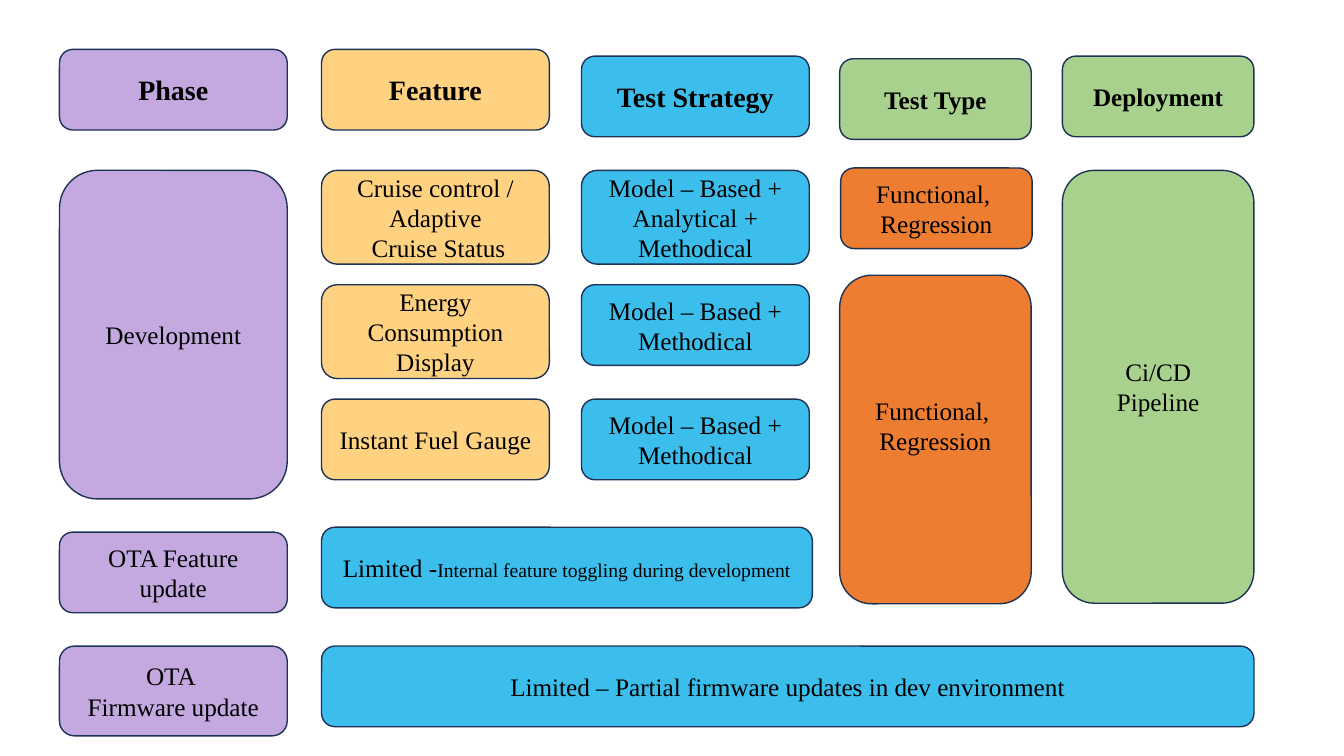
"""Build a slide that maps test phases to features, strategies and deployment."""
from dataclasses import dataclass

import pptx
import pptx.dml.color
import pptx.enum.shapes
import pptx.enum.text
import pptx.slide
import pptx.util

Pt = pptx.util.Pt
RGBColor = pptx.dml.color.RGBColor

PURPLE = RGBColor(0xC3, 0xA9, 0xDF)
YELLOW = RGBColor(0xFF, 0xD2, 0x81)
BLUE = RGBColor(0x3C, 0xBE, 0xEC)
GREEN = RGBColor(0xA9, 0xD1, 0x8E)
ORANGE = RGBColor(0xED, 0x7D, 0x31)
NAVY = RGBColor(0x1E, 0x32, 0x56)
BLACK = RGBColor(0, 0, 0)

FONT = "Times New Roman"
PHASE, FEATURE, STRATEGY, TEST, DEPLOY = 42.5, 229.7, 415.4, 599.8, 758.9
WIDE, SLIM = 162.7, 136.8
LOW, MID, TALL = 57.6, 67, 234.7
ROWS = [121.7 + 81.7 * step for step in range(3)]
LAST = 461.5
END = DEPLOY + SLIM


@dataclass(frozen=True)
class Box:
    """A rounded box with its text, in points."""

    lines: tuple[str, ...]
    left: float
    top: float
    width: float
    height: float
    fill: RGBColor
    size: float = 18
    bold: bool = False
    detail: str = ""
    lift: float = 0


BOXES = [
    Box(("Phase",), PHASE, 35.3, WIDE, LOW, PURPLE, 20, True),
    Box(("Feature",), FEATURE, 35.3, WIDE, LOW, YELLOW, 20, True),
    Box(("Test Strategy",), STRATEGY, 40.1, WIDE, LOW, BLUE, 20, True),
    Box(("Test Type",), TEST, 42, SLIM, LOW, GREEN, 18, True),
    Box(("Deployment",), DEPLOY, 40.1, SLIM, LOW, GREEN, 18, True),
    Box(("Development",), PHASE, ROWS[0], WIDE, TALL, PURPLE),
    Box(("OTA Feature update",), PHASE, 380.1, WIDE, LOW, PURPLE),
    Box(("OTA ", "Firmware update"), PHASE, LAST, WIDE, 64.1, PURPLE),
    Box(("Cruise control / Adaptive", " Cruise Status"),
        FEATURE, ROWS[0], WIDE, MID, YELLOW),
    Box(("Energy Consumption", "Display"), FEATURE, ROWS[1], WIDE, MID, YELLOW),
    Box(("Instant Fuel Gauge",), FEATURE, ROWS[2], WIDE, LOW, YELLOW),
    Box(("Model – Based + Analytical + Methodical",),
        STRATEGY, ROWS[0], WIDE, MID, BLUE),
    *(Box(("Model – Based + Methodical",), STRATEGY, top, WIDE, LOW, BLUE)
      for top in ROWS[1:]),
    Box(("Limited -",), FEATURE, 376.6, 350.6, LOW, BLUE,
        detail="Internal feature toggling during development"),
    Box(("Limited – Partial firmware updates in dev environment",),
        FEATURE, LAST, END - FEATURE, LOW, BLUE),
    Box(("Functional, ", "Regression"), TEST + 0.7, 120, SLIM, LOW, ORANGE),
    Box(("Functional, ", "Regression"), TEST, 196.6, SLIM, TALL, ORANGE, lift=10),
    Box(("Ci/CD Pipeline",), DEPLOY, ROWS[0], SLIM, 309.2, GREEN),
]


def draw_box(slide: pptx.slide.Slide, box: Box) -> None:
    """Draw one rounded box with centred text."""
    shape = slide.shapes.add_shape(
        pptx.enum.shapes.MSO_SHAPE.ROUNDED_RECTANGLE,
        Pt(box.left), Pt(box.top), Pt(box.width), Pt(box.height))
    shape.shadow.inherit = False
    shape.fill.solid()
    shape.fill.fore_color.rgb = box.fill
    shape.line.color.rgb = NAVY
    shape.line.width = Pt(1)
    frame = shape.text_frame
    frame.word_wrap = True
    frame.vertical_anchor = pptx.enum.text.MSO_ANCHOR.MIDDLE
    frame.margin_bottom = Pt(3.6 + 2 * box.lift)
    frame.text = "\n".join(box.lines)
    for line in frame.paragraphs:
        line.alignment = pptx.enum.text.PP_ALIGN.CENTER
        line.font.name = FONT
        line.font.size = Pt(box.size)
        line.font.bold = box.bold
        line.font.color.rgb = BLACK
    if box.detail:
        run = frame.paragraphs[-1].add_run()
        run.text = box.detail
        run.font.size = Pt(14)


def main() -> None:
    """Build and save the slide."""
    deck = pptx.Presentation()
    deck.slide_width, deck.slide_height = Pt(960), Pt(540)
    slide = deck.slides.add_slide(deck.slide_layouts[6])
    for box in BOXES:
        draw_box(slide, box)
    deck.save("out.pptx")


if __name__ == "__main__":
    main()
